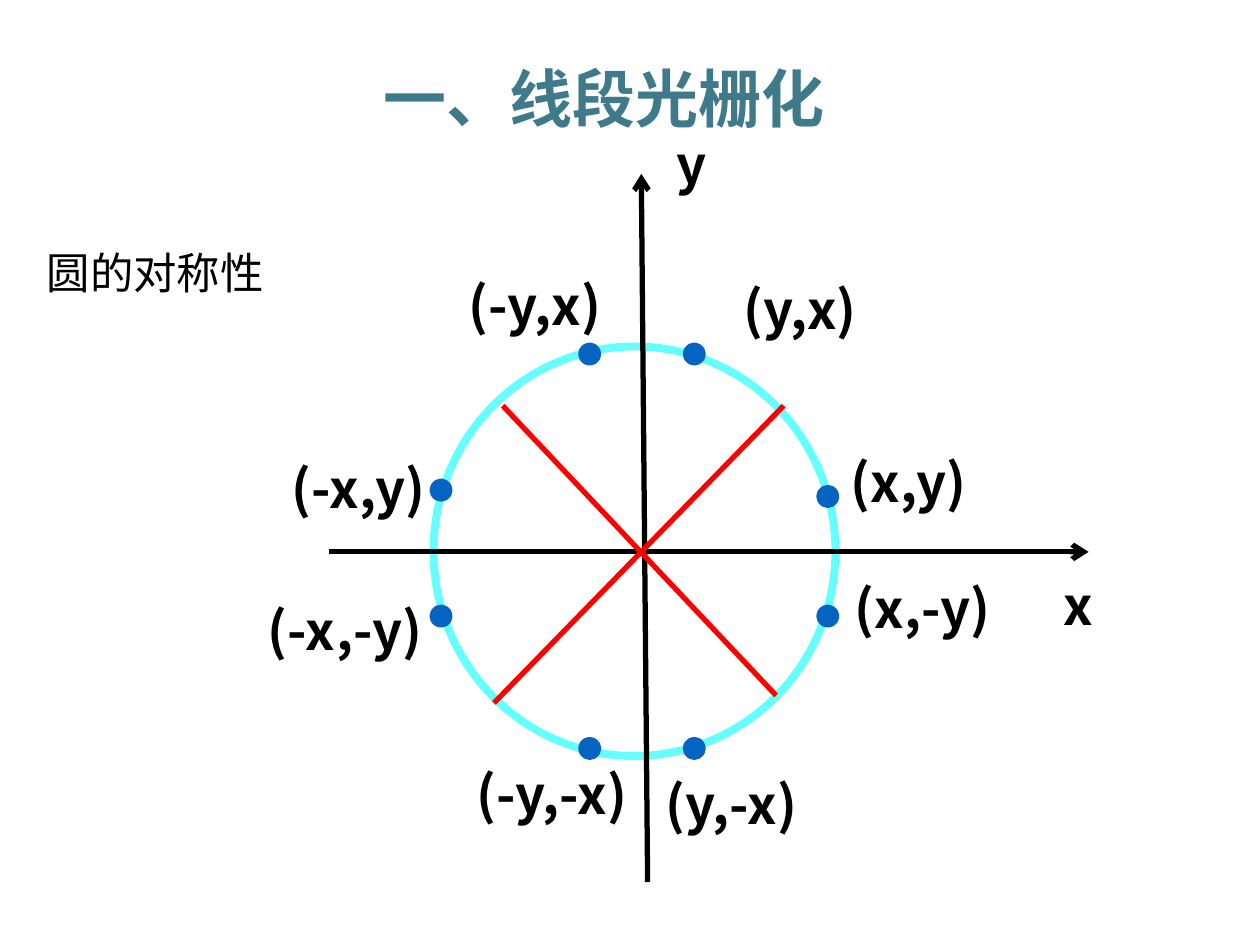
from dataclasses import dataclass

from lxml import etree
from pptx import Presentation
from pptx.dml.color import RGBColor
from pptx.enum.shapes import MSO_CONNECTOR, MSO_SHAPE
from pptx.enum.text import MSO_ANCHOR, MSO_AUTO_SIZE, PP_ALIGN
from pptx.oxml.ns import qn
from pptx.shapes.autoshape import Shape
from pptx.slide import Slide
from pptx.util import Inches, Pt

LEFT, CENTER = PP_ALIGN.LEFT, PP_ALIGN.CENTER
MIDDLE, TOP = MSO_ANCHOR.MIDDLE, MSO_ANCHOR.TOP
OVAL = MSO_SHAPE.OVAL
STRAIGHT = MSO_CONNECTOR.STRAIGHT
FIT_SHAPE = MSO_AUTO_SIZE.SHAPE_TO_FIT_TEXT

FONT = "Noto Sans CJK SC"
COLORS = {
    "heading": "3F7A8B",
    "text": "000000",
    "axis": "000000",
    "circle": "66FFFF",
    "diagonal": "FF0000",
    "dot": "0563C1",
}
DOT_SIZE = 0.12


@dataclass
class Label:
    text: str
    left: float
    top: float
    width: float
    height: float = 0.5
    align: PP_ALIGN = LEFT
    anchor: MSO_ANCHOR = MIDDLE
    inset: bool = False


@dataclass
class Line:
    start: tuple[float, float]
    end: tuple[float, float]
    color: str
    arrow: str = ""  # "headEnd" marks the start, "tailEnd" the end


LABELS = [
    Label("(x,y)", 6.75, 3.57, 1.04),
    Label("(y,x)", 5.9, 2.2, 1.04),
    Label("(y,-x)", 5.18, 6.13, 1.25, align=CENTER),
    Label("(-y,-x)", 3.65, 6.05, 1.46, align=CENTER),
    Label("(-x,-y)", 2.01, 4.75, 1.46, align=CENTER),
    Label("(-x,y)", 2.22, 3.62, 1.25, align=CENTER),
    Label("(-y,x)", 3.62, 2.17, 1.25, align=CENTER),
    Label("(x,-y)", 6.78, 4.57, 1.25),
    Label("x", 8.34, 4.5, 0.41, 0.6, anchor=TOP, inset=True),
    Label("y", 5.27, 1, 0.41, 0.6, anchor=TOP, inset=True),
]
LINES = [
    Line((5.09, 1.38), (5.14, 7), "axis", "headEnd"),
    Line((2.61, 4.38), (8.64, 4.38), "axis", "tailEnd"),
    Line((3.92, 5.58), (6.22, 3.22), "diagonal"),
    Line((6.16, 5.52), (3.99, 3.22), "diagonal"),
]
# Upper and lower dots mirror each other, apart from the two upper side dots
DOTS = [(x, y) for x in (4.62, 5.45) for y in (2.75, 5.88)]
DOTS += [(3.44, 3.83), (3.44, 4.83), (6.51, 3.88), (6.51, 4.83)]


def rgb(name: str) -> RGBColor:
    return RGBColor.from_string(COLORS[name])


def write_text(box: Shape, text: str, size: float, color: str, font: str,
               bold: bool, align: PP_ALIGN, anchor: MSO_ANCHOR) -> None:
    frame = box.text_frame
    frame.text = text
    frame.vertical_anchor = anchor
    frame.auto_size = FIT_SHAPE
    para = frame.paragraphs[0]
    para.alignment = align
    para.font.size = Pt(size)
    para.font.bold = bold
    para.font.color.rgb = rgb(color)
    para.font.name = font
    # East Asian glyphs take their own typeface
    latin = para._p.pPr.find(qn("a:defRPr")).find(qn("a:latin"))
    east_asian = etree.Element(qn("a:ea"), typeface=FONT)
    latin.addnext(east_asian)


def add_label(slide: Slide, label: Label) -> None:
    box = slide.shapes.add_textbox(Inches(label.left), Inches(label.top),
                                   Inches(label.width), Inches(label.height))
    write_text(box, label.text, 30, "text", FONT, True, label.align, label.anchor)
    frame = box.text_frame
    frame.word_wrap = False
    if not label.inset:
        frame.margin_left = frame.margin_right = 0
        frame.margin_top = frame.margin_bottom = 0


def add_oval(slide: Slide, left: float, top: float, width: float, height: float,
             color: str, filled: bool) -> None:
    oval = slide.shapes.add_shape(OVAL, Inches(left), Inches(top),
                                  Inches(width), Inches(height))
    oval.shadow.inherit = False
    oval.line.color.rgb = rgb(color)
    oval.line.width = Pt(4.5)
    if filled:
        oval.fill.solid()
        oval.fill.fore_color.rgb = rgb(color)
    else:
        oval.fill.background()


def add_line(slide: Slide, line: Line) -> None:
    points = [Inches(value) for value in line.start + line.end]
    connector = slide.shapes.add_connector(STRAIGHT, *points)
    connector.line.color.rgb = rgb(line.color)
    connector.line.width = Pt(3)
    properties = connector._element.spPr
    if line.arrow:
        outline = properties.find(qn("a:ln"))
        etree.SubElement(outline, qn(f"a:{line.arrow}"), type="arrow")
    etree.SubElement(properties, qn("a:effectLst"))


def main() -> None:
    deck = Presentation()
    deck.slide_width, deck.slide_height = Inches(10), Inches(7.5)
    slide = deck.slides.add_slide(deck.slide_layouts[5])

    # Topic and chapter heading
    topic = slide.shapes.title
    topic.left, topic.top = Inches(0.27), Inches(1.7)
    topic.width, topic.height = Inches(7.21), Inches(0.83)
    write_text(topic, "圆的对称性", 24.8, "text", "Arial", False, LEFT, MIDDLE)
    topic.text_frame.paragraphs[0].line_spacing = 1.2

    heading = slide.shapes.add_textbox(Inches(0.12), Inches(0.36),
                                       Inches(9.34), Inches(0.83))
    write_text(heading, "一、线段光栅化", 36, "heading", FONT, True, CENTER, MIDDLE)
    heading.text_frame.word_wrap = True

    # Circle, axes and diagonals
    add_oval(slide, 3.44, 2.75, 3.19, 3.25, "circle", False)
    for line in LINES:
        add_line(slide, line)

    # Eight symmetric points and their coordinates
    for left, top in DOTS:
        add_oval(slide, left, top, DOT_SIZE, DOT_SIZE, "dot", True)
    for label in LABELS:
        add_label(slide, label)

    deck.save("out.pptx")


if __name__ == "__main__":
    main()
